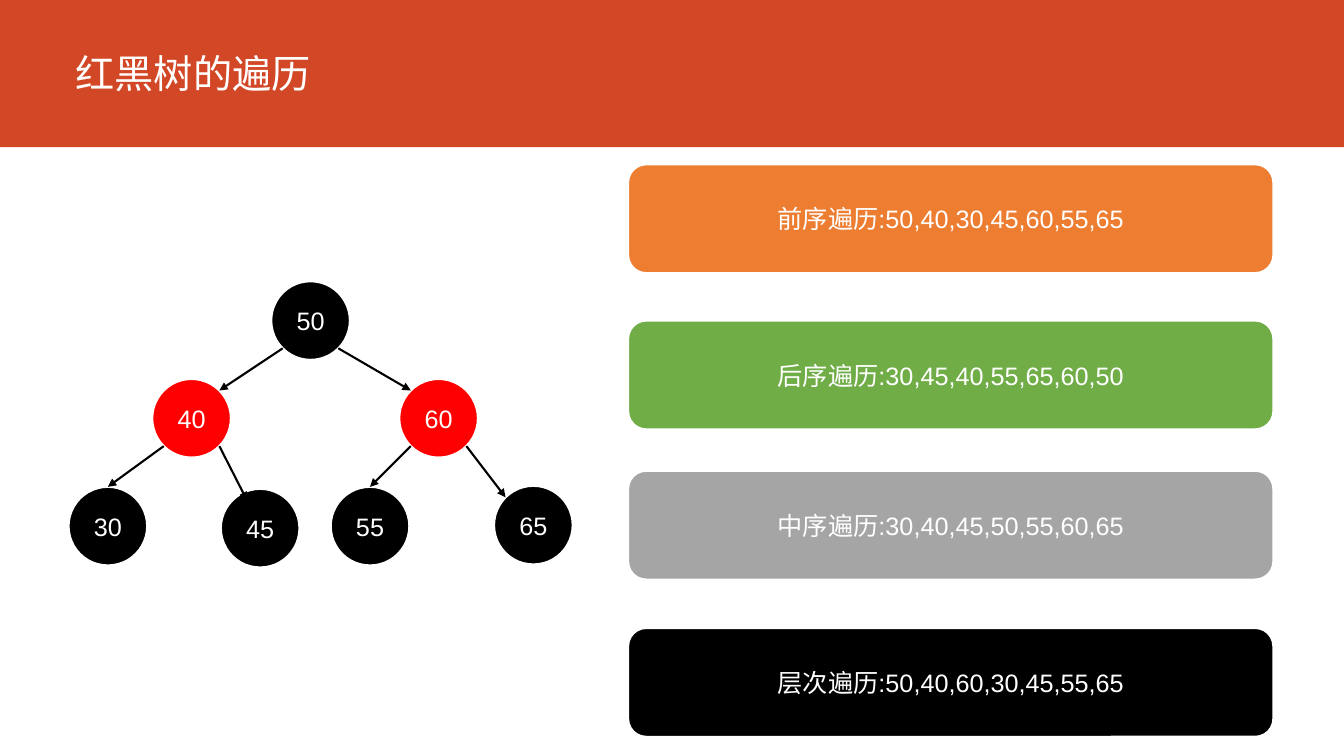
from dataclasses import dataclass
from math import sqrt
from typing import Any

from lxml.etree import SubElement as Sub
from pptx import Presentation
from pptx.dml.color import RGBColor as RGB
from pptx.enum.shapes import MSO_CONNECTOR as Link, MSO_SHAPE as Kind
from pptx.enum.text import MSO_ANCHOR as Anchor, MSO_AUTO_SIZE as Fit, PP_ALIGN as Align
from pptx.oxml.ns import qn
from pptx.util import Inches, Pt


@dataclass(frozen=True)
class Theme:
    band: RGB = RGB(0xD2, 0x47, 0x26)
    white: RGB = RGB(255, 255, 255)
    black: RGB = RGB(0, 0, 0)
    red: RGB = RGB(255, 0, 0)
    orange: RGB = RGB(0xED, 0x7D, 0x31)
    green: RGB = RGB(0x70, 0xAD, 0x47)
    gray: RGB = RGB(0xA5, 0xA5, 0xA5)
    latin: str = "Arial"
    asian: str = "Noto Sans CJK SC"
    head: Pt = Pt(28)
    body: Pt = Pt(18)
    line: Pt = Pt(1.5)


@dataclass(frozen=True)
class Card:
    text: str
    top: float
    fill: RGB


@dataclass(frozen=True)
class Node:
    key: int
    left: float
    top: float
    fill: RGB


@dataclass(frozen=True)
class Edge:
    start: int
    side: int
    end: int
    dx: float
    dy: float


LOOK = Theme()
SIZE = 0.78
HALF = SIZE / 2
DIAG = HALF / sqrt(2)

CARDS = [
    Card("前序遍历:50,40,30,45,60,55,65", 1.63, LOOK.orange),
    Card("后序遍历:30,45,40,55,65,60,50", 3.18, LOOK.green),
    Card("中序遍历:30,40,45,50,55,60,65", 4.67, LOOK.gray),
    Card("层次遍历:50,40,60,30,45,55,65", 6.23, LOOK.black),
]
NODES = [
    Node(50, 2.69, 2.79, LOOK.black),
    Node(40, 1.51, 3.76, LOOK.red),
    Node(60, 3.96, 3.76, LOOK.red),
    Node(30, 0.68, 4.83, LOOK.black),
    Node(45, 2.19, 4.85, LOOK.black),
    Node(55, 3.28, 4.83, LOOK.black),
    Node(65, 4.9, 4.82, LOOK.black),
]
EDGES = [
    Edge(50, -1, 40, DIAG, -DIAG),
    Edge(50, 1, 60, -DIAG, -DIAG),
    Edge(40, -1, 30, 0, -HALF),
    Edge(40, 1, 45, -0.13, -DIAG),
    Edge(60, -1, 55, 0, -HALF),
    Edge(60, 1, 65, -DIAG, -DIAG),
]


def apply(item: Any, form: dict[str, Any]) -> None:
    for name, value in form.items():
        setattr(item, name, value)


def write(shape: Any, text: str, size: Pt, face: str, align: Align, anchor: Anchor) -> None:
    frame = shape.text_frame
    apply(frame, {"word_wrap": True, "auto_size": Fit.NONE, "vertical_anchor": anchor})
    para = frame.paragraphs[0]
    para.alignment = align
    run = para.add_run()
    run.text = text
    apply(run.font, {"size": size, "name": face})
    run.font.color.rgb = LOOK.white
    Sub(run.font._element, qn("a:ea"), typeface=LOOK.asian)


def block(slide: Any, kind: Kind, box: tuple[float, ...], fill: RGB) -> Any:
    shape = slide.shapes.add_shape(kind, *map(Inches, box))
    shape.shadow.inherit = False
    shape.fill.solid()
    shape.fill.fore_color.rgb = fill
    shape.line.fill.background()
    return shape


def label(slide: Any, kind: Kind, box: tuple[float, ...], fill: RGB, text: str) -> None:
    shape = block(slide, kind, box, fill)
    shape.line.color.rgb = LOOK.white
    shape.line.width = LOOK.line
    write(shape, text, LOOK.body, LOOK.latin, Align.CENTER, Anchor.MIDDLE)


def arrow(slide: Any, edge: Edge, nodes: dict[int, Node]) -> None:
    start, end = nodes[edge.start], nodes[edge.end]
    ends = (
        start.left + HALF + edge.side * DIAG,
        start.top + HALF + DIAG,
        end.left + HALF + edge.dx,
        end.top + HALF + edge.dy,
    )
    link = slide.shapes.add_connector(Link.STRAIGHT, *map(Inches, ends))
    link.line.color.rgb = LOOK.black
    link.line.width = LOOK.line
    Sub(link.line._get_or_add_ln(), qn("a:tailEnd"), type="triangle")
    Sub(link.element.spPr, qn("a:effectLst"))


def header(slide: Any) -> None:
    title = slide.shapes.title
    band = block(slide, Kind.RECTANGLE, (0, 0, 13.33, 1.46), LOOK.band)
    title.element.addprevious(band.element)
    apply(title, {
        "left": Inches(0.65), "top": Inches(0.38),
        "width": Inches(12.38), "height": Inches(0.63),
    })
    write(title, "红黑树的遍历", LOOK.head, LOOK.asian, Align.LEFT, Anchor.BOTTOM)


def main() -> None:
    deck = Presentation()
    apply(deck, {"slide_width": Inches(13.33), "slide_height": Inches(7.5)})
    slide = deck.slides.add_slide(deck.slide_layouts[5])
    header(slide)
    for card in CARDS:
        label(slide, Kind.ROUNDED_RECTANGLE, (6.23, card.top, 6.4, 1.08), card.fill, card.text)
    for node in NODES:
        label(slide, Kind.OVAL, (node.left, node.top, SIZE, SIZE), node.fill, str(node.key))
    nodes = {node.key: node for node in NODES}
    for edge in EDGES:
        arrow(slide, edge, nodes)
    deck.save("out.pptx")


if __name__ == "__main__":
    main()
